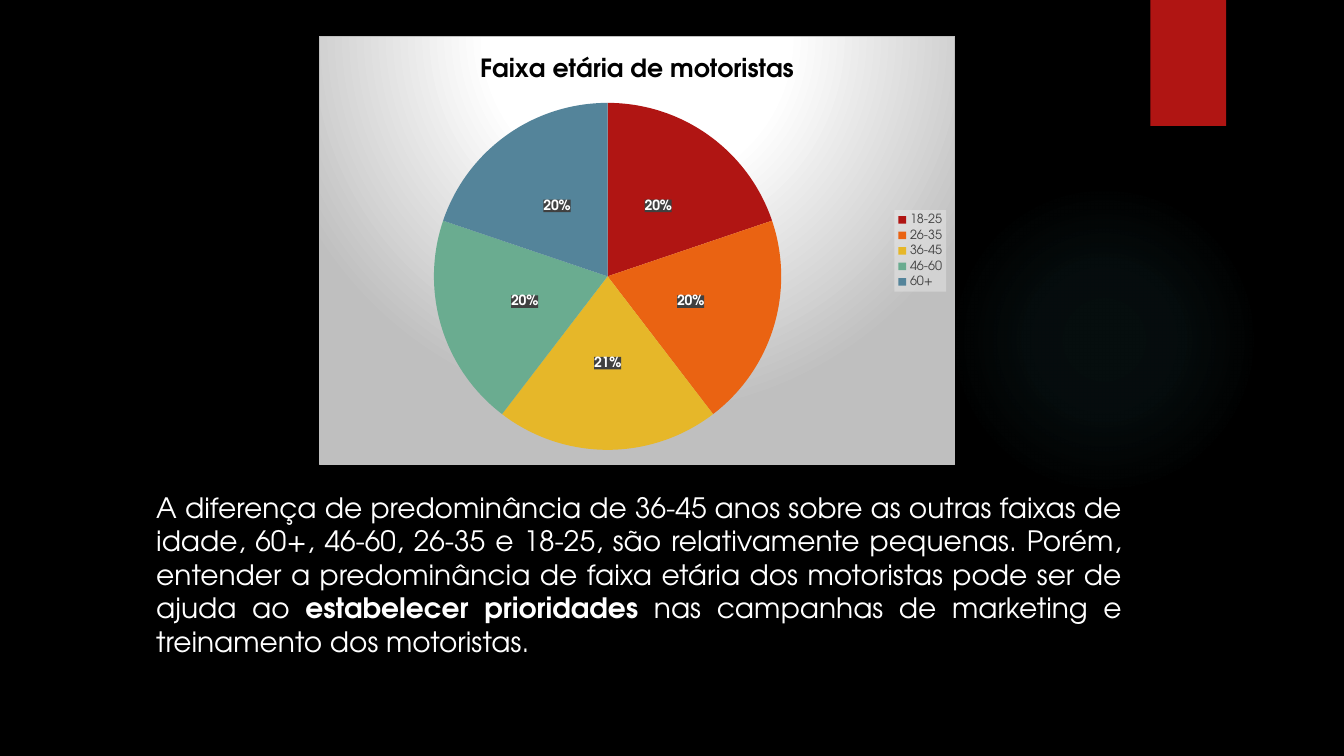
from pptx import Presentation
from pptx.chart.data import CategoryChartData
from pptx.dml.color import RGBColor
from pptx.enum.chart import XL_CHART_TYPE, XL_LABEL_POSITION, XL_LEGEND_POSITION
from pptx.enum.shapes import MSO_SHAPE
from pptx.enum.text import MSO_ANCHOR, PP_ALIGN
from pptx.oxml import parse_xml
from pptx.oxml.ns import nsdecls
from pptx.util import Pt

AGE_GROUPS = {
    "18-25": (20, "B01513"),
    "26-35": (20, "EA6312"),
    "36-45": (21, "E6B729"),
    "46-60": (20, "6AAC90"),
    "60+": (20, "54849A"),
}

COMMENTARY = [
    ("A diferença de predominância de 36-45 anos sobre as outras faixas de idade, "
     "60+, 46-60, 26-35 e 18-25, são relativamente pequenas. Porém, entender a "
     "predominância de faixa etária dos motoristas pode ser de ajuda ao ", False),
    ("estabelecer prioridades", True),
    (" nas campanhas de marketing e treinamento dos motoristas.", False),
]


def color(value):
    return RGBColor.from_string(value)


def assign(target, **values):
    for name, value in values.items():
        setattr(target, name, value)


def solid_xml(value, opacity):
    return (f'<a:solidFill><a:srgbClr val="{value}">'
            f'<a:alpha val="{opacity * 1000}"/></a:srgbClr></a:solidFill>')


def radial_xml(stops, top=50, bottom=50):
    marks = "".join(
        f'<a:gs pos="{place * 1000}"><a:srgbClr val="{value}">'
        f'<a:alpha val="{opacity * 1000}"/></a:srgbClr></a:gs>'
        for place, value, opacity in stops)
    return (f'<a:gradFill {nsdecls("a")} rotWithShape="1"><a:gsLst>{marks}</a:gsLst>'
            f'<a:path path="circle"><a:fillToRect l="50000" t="{top * 1000}" '
            f'r="50000" b="{bottom * 1000}"/></a:path></a:gradFill>')


def chart_format(content):
    return parse_xml(f'<c:spPr {nsdecls("c", "a")}>{content}</c:spPr>')


class SlideBuilder:
    font_name = "TeX Gyre Adventor"

    def __init__(self, slide, background):
        self.slide = slide
        slide.background.fill.solid()
        slide.background.fill.fore_color.rgb = color(background)

    def style_font(self, font, size, tint, bold=False):
        assign(font, name=self.font_name, size=Pt(size), bold=bold)
        font.color.rgb = color(tint)

    def shape(self, kind, box):
        shape = self.slide.shapes.add_shape(kind, *map(Pt, box))
        shape.shadow.inherit = False
        shape.line.fill.background()
        return shape

    def glow(self, box, stops):
        glow = self.shape(MSO_SHAPE.OVAL, box)
        glow.fill.background()
        properties = glow._element.spPr
        empty_fill = properties.find("{*}noFill")
        properties.replace(empty_fill, parse_xml(radial_xml(stops)))

    def ribbon(self, box, tint):
        ribbon = self.shape(MSO_SHAPE.RECTANGLE, box)
        ribbon.fill.solid()
        ribbon.fill.fore_color.rgb = color(tint)
        ribbon._element.spPr.find("{*}effectLst").append(parse_xml(
            f'<a:outerShdw {nsdecls("a")} blurRad="{Pt(3)}" dist="{Pt(2)}" '
            'dir="5400000" rotWithShape="0"><a:srgbClr val="000000">'
            '<a:alpha val="45000"/></a:srgbClr></a:outerShdw>'))

    def text(self, box, passages, size, tint):
        frame = self.slide.shapes.add_textbox(*map(Pt, box)).text_frame
        assign(frame, word_wrap=True, vertical_anchor=MSO_ANCHOR.TOP)
        paragraph = frame.paragraphs[0]
        assign(paragraph, alignment=PP_ALIGN.JUSTIFY, space_before=Pt(10))
        for passage, bold in passages:
            run = paragraph.add_run()
            run.text = passage
            self.style_font(run.font, size, tint, bold)

    def pie(self, box, heading, groups):
        shares = CategoryChartData()
        shares.categories = list(groups)
        shares.add_series("Series 1", [share for share, _ in groups.values()])
        chart = self.slide.shapes.add_chart(
            XL_CHART_TYPE.PIE, *map(Pt, box), shares).chart
        self.style_font(chart.font, 10, "FFFFFF")
        chart._chartSpace.chart.addnext(chart_format(
            radial_xml([(0, "FFFFFF", 100), (39, "FFFFFF", 100), (100, "BFBFBF", 100)],
                       -80, 180)
            + f'<a:ln w="{Pt(0.75)}">{solid_xml("BFBFBF", 100)}</a:ln>'))
        self.pie_title(chart, heading)
        self.pie_legend(chart)
        self.pie_slices(chart.plots[0], groups)
        self.pie_position(chart, x=0.18, y=0.154, w=0.547, h=0.811)

    def pie_title(self, chart, heading):
        assign(chart, has_title=True)
        assign(chart.chart_title, include_text_in_layout=False)
        run = chart.chart_title.text_frame.paragraphs[0].add_run()
        run.text = heading
        self.style_font(run.font, 18, "000000", True)

    def pie_legend(self, chart):
        chart.has_legend = True
        legend = chart.legend
        assign(legend, position=XL_LEGEND_POSITION.RIGHT, include_in_layout=False)
        self.style_font(legend.font, 9, "404040")
        legend._element.find("{*}txPr").addprevious(
            chart_format(solid_xml("F2F2F2", 39)))

    def pie_slices(self, plot, groups):
        plot.vary_by_categories = True
        series = plot.series[0]
        for index, (_, tint) in enumerate(groups.values()):
            fill = series.points[index].format.fill
            fill.solid()
            fill.fore_color.rgb = color(tint)
        labels = series.data_labels
        assign(labels, show_percentage=True, show_value=False,
               number_format="0%", number_format_is_linked=False,
               position=XL_LABEL_POSITION.CENTER)
        self.style_font(labels.font, 10, "FFFFFF", True)
        labels._element.find("{*}txPr").addprevious(
            chart_format(solid_xml("404040", 90)))

    def pie_position(self, chart, **fractions):
        plot_area = chart._chartSpace.chart.plotArea
        for former in plot_area.findall("{*}layout"):
            plot_area.remove(former)
        places = "".join(f'<c:{name} val="{value}"/>' for name, value in fractions.items())
        plot_area.insert(0, parse_xml(
            f'<c:layout {nsdecls("c")}><c:manualLayout><c:layoutTarget val="inner"/>'
            f'<c:xMode val="edge"/><c:yMode val="edge"/>{places}'
            '</c:manualLayout></c:layout>'))


def main():
    presentation = Presentation()
    assign(presentation, slide_width=Pt(960), slide_height=Pt(540))
    page = SlideBuilder(
        presentation.slides.add_slide(presentation.slide_layouts[6]), "000000")
    page.glow((677.5, 131.75, 221.75, 221.75),
              [(0, "50B9C1", 7), (36, "50B9C1", 6), (69, "50B9C1", 0)])
    page.ribbon((821.75, 0, 54, 90), "B01513")
    page.text((104.5, 346.5, 704, 143.5), COMMENTARY, 20, "FFFFFF")
    page.pie((228, 26, 454.25, 306.5), "Faixa etária de motoristas", AGE_GROUPS)
    presentation.save("out.pptx")


if __name__ == "__main__":
    main()
